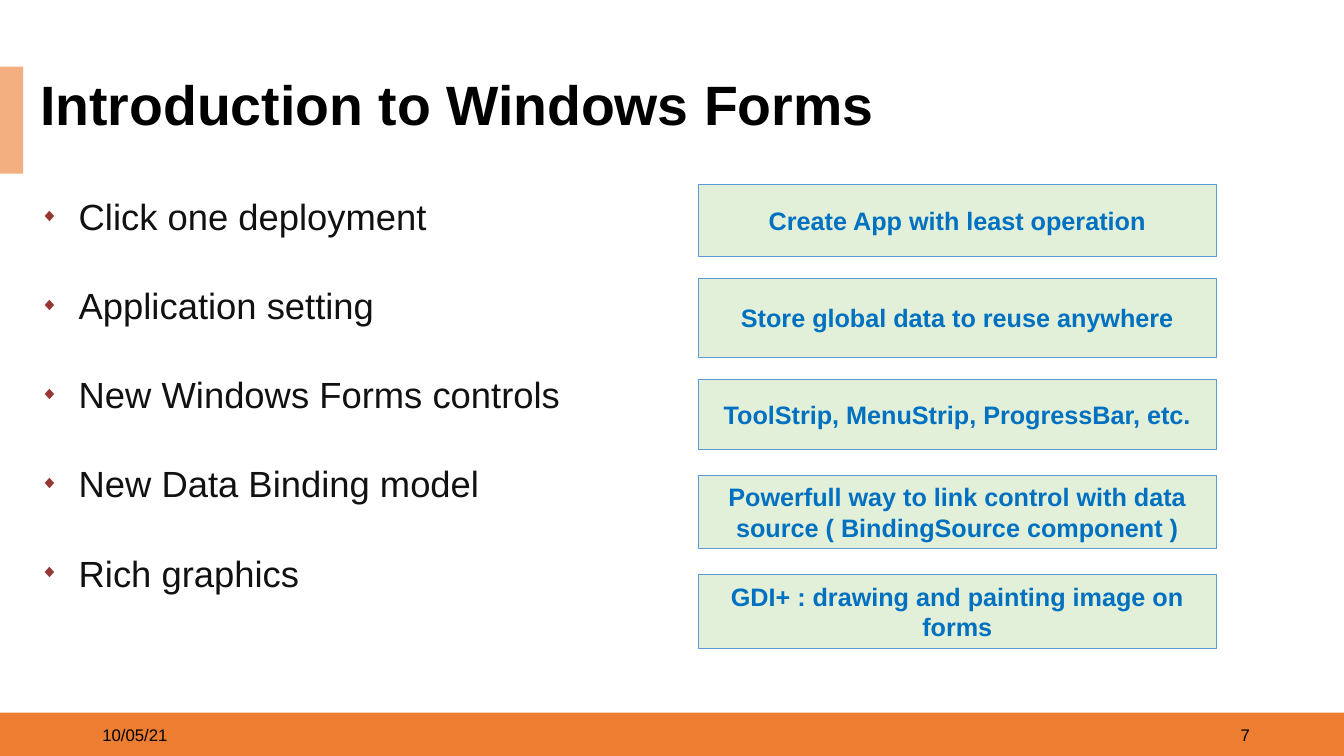
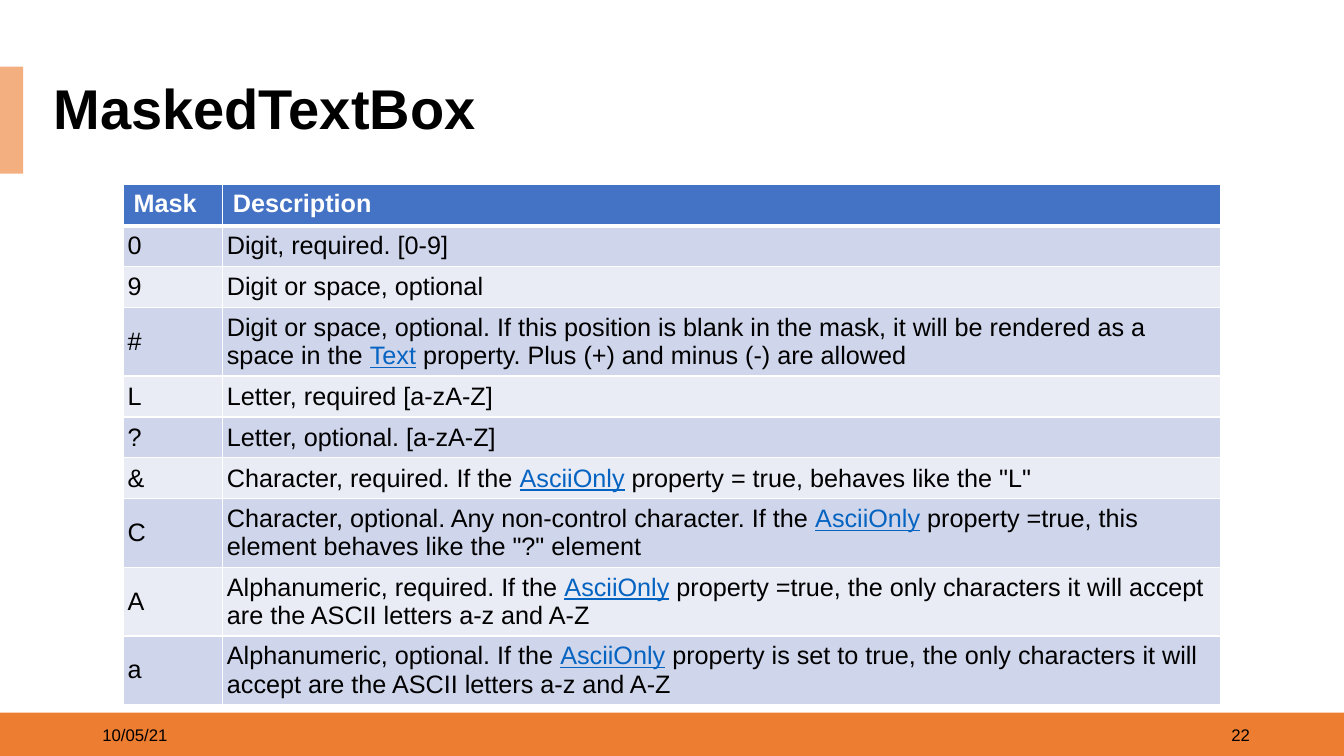
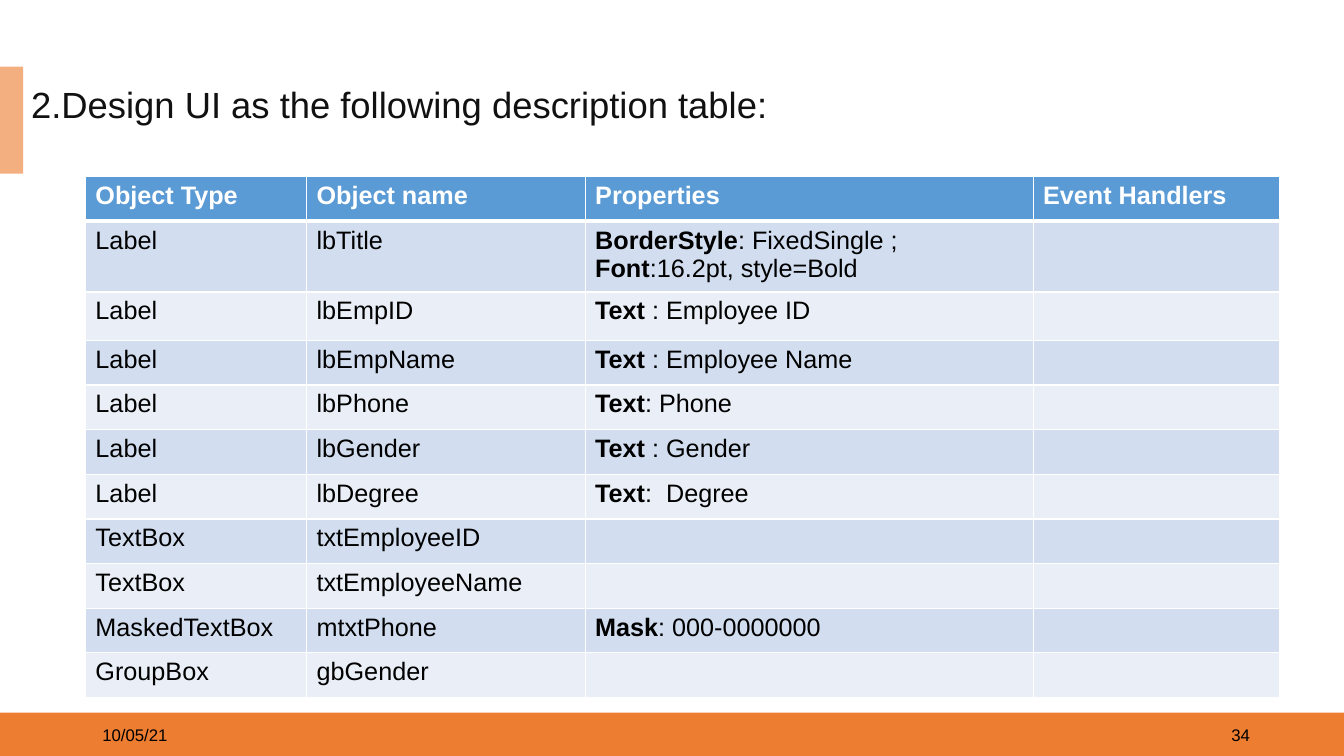
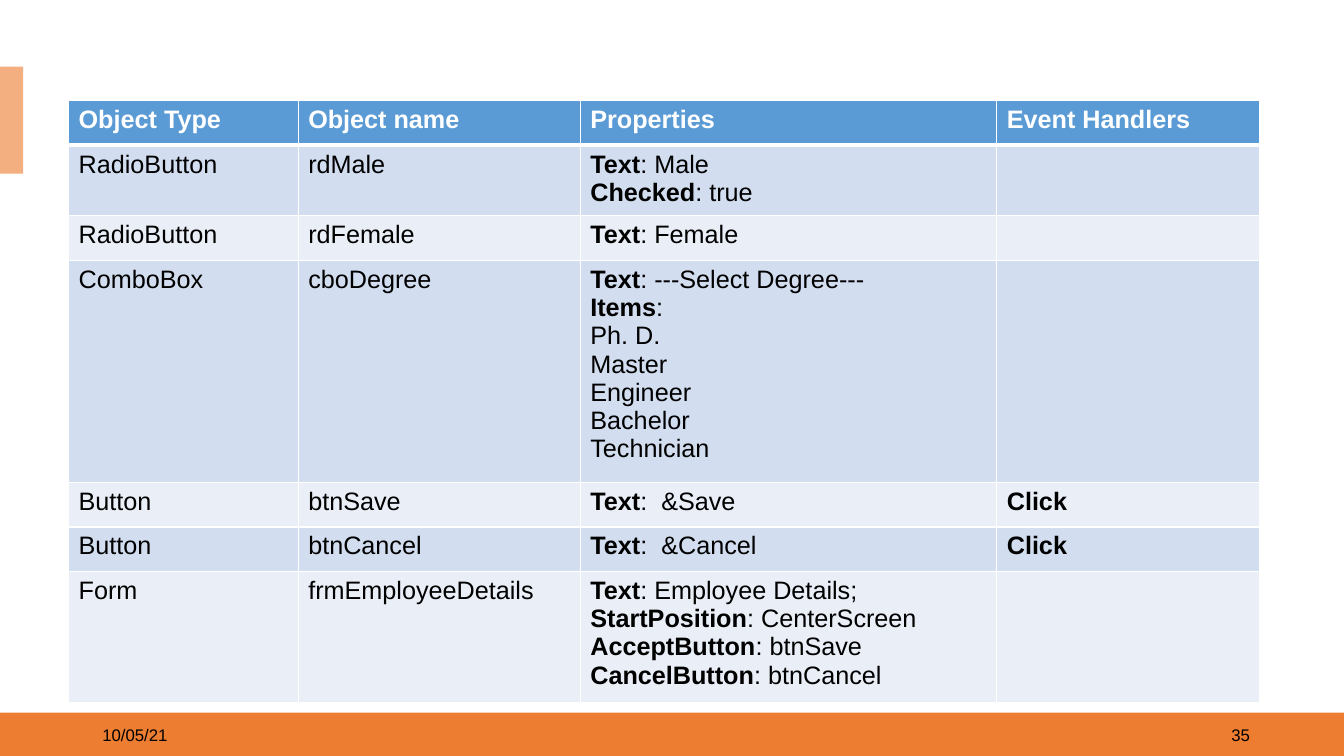
"""Build four Windows Forms lesson slides with shared bands, footers and tables."""
from lxml import etree
from pptx import Presentation
from pptx.dml.color import RGBColor
from pptx.enum.shapes import MSO_SHAPE
from pptx.enum.text import MSO_ANCHOR, MSO_AUTO_SIZE, PP_ALIGN
from pptx.oxml.ns import qn
from pptx.util import Pt

RECT = MSO_SHAPE.RECTANGLE
MIDDLE = MSO_ANCHOR.MIDDLE
FIXED = MSO_AUTO_SIZE.NONE
LEFT, CENTER, RIGHT, JUST = PP_ALIGN.LEFT, PP_ALIGN.CENTER, PP_ALIGN.RIGHT, PP_ALIGN.JUSTIFY
FONT = "Arial"
HEX = {
    "band": "ED7D31", "tab": "F4AF80", "black": "000000", "ink": "111111",
    "white": "FFFFFF", "bullet": "973735", "box": "E2F0D9", "edge": "5B9BD5",
    "note": "0070C0", "link": "0563C1",
}


def write(par, text, size, color, bold=False, under=False):
    """Add one formatted run to a paragraph."""
    run = par.add_run()
    run.text = text
    font = run.font
    font.name, font.size = FONT, Pt(size)
    font.bold, font.underline = bold, under
    font.color.rgb = RGBColor.from_string(HEX[color])


def block(slide, left, top, width, height, fill):
    """Add a plain filled rectangle without a line."""
    shape = slide.shapes.add_shape(RECT, Pt(left), Pt(top), Pt(width), Pt(height))
    shape.shadow.inherit = False
    shape.fill.solid()
    shape.fill.fore_color.rgb = RGBColor.from_string(HEX[fill])
    shape.line.fill.background()
    return shape


prs = Presentation()
prs.slide_width, prs.slide_height = Pt(960), Pt(540)

# layout, page, title, size, color, bold, left, top, width, height
pages = [
    (1, "7", ("Introduction to Windows Forms", 39.6, "black", True), (21.6, 54, 662, 45.4)),
    (5, "22", ("MaskedTextBox", 40, "black", True), (31, 57, 878, 45.4)),
    (5, "34", ("2.Design UI as the following description table:", 26, "ink", False), (15, 55.5, 945, 37)),
    (6, "35", None, None),
]
slides = []
for layout, page, head, area in pages:
    slide = prs.slides.add_slide(prs.slide_layouts[layout])
    slides.append(slide)
    block(slide, 0, 509, 960, 31, "band")
    block(slide, 0, 47.5, 16.5, 76.5, "tab")
    for text, left, align in (("10/05/21", 66, LEFT), (page, 684, RIGHT)):
        foot = slide.shapes.add_textbox(Pt(left), Pt(510.5), Pt(216), Pt(29)).text_frame
        foot.word_wrap = True
        foot.vertical_anchor = MIDDLE
        foot.paragraphs[0].alignment = align
        write(foot.paragraphs[0], text, 12, "black")
    if head:
        title = slide.shapes.title
        title.left, title.top, title.width, title.height = map(Pt, area)
        frame = title.text_frame
        frame.auto_size, frame.vertical_anchor = FIXED, MIDDLE
        par = frame.paragraphs[0]
        par.alignment = LEFT
        par.line_spacing = 0.9 if head[3] else 1.0
        write(par, *head)

intro = slides[0]
body = intro.placeholders[1]
body.left, body.top, body.width, body.height = Pt(21.6), Pt(135), Pt(420), Pt(314)
frame = body.text_frame
frame.auto_size = FIXED
topics = ["Click one deployment", "Application setting", "New Windows Forms controls",
          "New Data Binding model", "Rich graphics"]
for i, topic in enumerate(topics):
    par = frame.add_paragraph() if i else frame.paragraphs[0]
    props = par._p.get_or_add_pPr()
    props.set("marL", str(Pt(27.4)))
    props.set("indent", str(Pt(-27.4)))
    tint = etree.SubElement(props, qn("a:buClr"))
    etree.SubElement(tint, qn("a:srgbClr"), val=HEX["bullet"])
    etree.SubElement(props, qn("a:buSzPct"), val="50000")
    etree.SubElement(props, qn("a:buFont"), typeface=FONT)
    etree.SubElement(props, qn("a:buChar"), char="◆")
    par.alignment, par.line_spacing = JUST, 1.0
    par.space_before, par.space_after = Pt(32.5 if i else 0), Pt(0)
    write(par, topic, 26, "ink")

notes = [
    (132, 51, "Create App with least operation"),
    (198.7, 56.3, "Store global data to reuse anywhere"),
    (270.7, 50.4, "ToolStrip, MenuStrip, ProgressBar, etc."),
    (339.2, 52.8, "Powerfull way to link control with data source ( BindingSource component )"),
    (410.2, 52.8, "GDI+ : drawing and painting image on forms"),
]
for top, height, text in notes:
    box = block(intro, 499, top, 369.5, height, "box")
    box.line.color.rgb = RGBColor.from_string(HEX["edge"])
    box.line.width = Pt(0.5)
    frame = box.text_frame
    frame.word_wrap, frame.vertical_anchor = True, MIDDLE
    frame.paragraphs[0].alignment = CENTER
    write(frame.paragraphs[0], text, 18, "note", True)

masks = [
    ("Mask", "Description"),
    ("0", "Digit, required. [0-9]"),
    ("9", "Digit or space, optional"),
    ("#", "Digit or space, optional. If this position is blank in the mask, it will be "
          "rendered as a space in the |Text| property. Plus (+) and minus (-) are allowed"),
    ("L", "Letter, required [a-zA-Z]"),
    ("?", "Letter, optional. [a-zA-Z]"),
    ("&", "Character, required. If the |AsciiOnly| property = true, behaves like the \"L\""),
    ("C", "Character, optional. Any non-control character. If the |AsciiOnly| property =true, "
          "this element behaves like the \"?\" element"),
    ("A", "Alphanumeric, required. If the |AsciiOnly| property =true, the only characters "
          "it will accept are the ASCII letters a-z and A-Z"),
    ("a", "Alphanumeric, optional. If the |AsciiOnly| property is set to true, the only "
          "characters it will accept are the ASCII letters a-z and A-Z"),
]
heads = ("Object Type", "Object name", "Properties", "Event Handlers")
labels = [
    heads,
    ("Label", "lbTitle", "|BorderStyle|: FixedSingle ;\n|Font|:16.2pt, style=Bold", ""),
    ("Label", "lbEmpID", "|Text| : Employee ID", ""),
    ("Label", "lbEmpName", "|Text| : Employee Name", ""),
    ("Label", "lbPhone", "|Text|: Phone", ""),
    ("Label", "lbGender", "|Text| : Gender", ""),
    ("Label", "lbDegree", "|Text|:  Degree", ""),
    ("TextBox", "txtEmployeeID", "", ""),
    ("TextBox", "txtEmployeeName", "", ""),
    ("MaskedTextBox", "mtxtPhone", "|Mask|: 000-0000000", ""),
    ("GroupBox", "gbGender", "", ""),
]
inputs = [
    heads,
    ("RadioButton", "rdMale", "|Text|: Male\n|Checked|: true", ""),
    ("RadioButton", "rdFemale", "|Text|: Female", ""),
    ("ComboBox", "cboDegree", "|Text|: ---Select Degree---\n|Items|:\nPh. D.\nMaster\n"
                              "Engineer\nBachelor\nTechnician", ""),
    ("Button", "btnSave", "|Text|:  &Save", "|Click|"),
    ("Button", "btnCancel", "|Text|:  &Cancel", "|Click|"),
    ("Form", "frmEmployeeDetails", "|Text|: Employee Details;\n|StartPosition|: CenterScreen\n"
                                   "|AcceptButton|: btnSave\n|CancelButton|: btnCancel", ""),
]
indigo = ("4472C4", "CFD5EA", "E9EBF5")
azure = ("5B9BD5", "D2DEEF", "EAEFF7")
tables = [
    (slides[1], masks, (88.2, 132), (71, 712.5), indigo, True,
     (29.2, 29.2, 29.2, 46.4, 29.2, 29.2, 29.2, 46.4, 46.4, 46.4)),
    (slides[2], labels, (61, 126.2), (158, 199, 320, 175.8), azure, False,
     (31.9, 50, 34.6) + (31.9,) * 8),
    (slides[3], inputs, (49, 71.8), (164, 201.5, 297.5, 188), azure, False,
     (32, 47.2, 31.9, 148.2, 31.9, 31.9, 87.4)),
]
for slide, rows, spot, widths, tints, linked, tall in tables:
    size = map(Pt, (*spot, sum(widths), sum(tall)))
    grid = slide.shapes.add_table(len(rows), len(widths), *size).table
    grid.horz_banding = False
    for col, width in zip(grid.columns, widths):
        col.width = Pt(width)
    for r, row in enumerate(rows):
        grid.rows[r].height = Pt(tall[r])
        for c, text in enumerate(row):
            cell = grid.cell(r, c)
            props = cell._tc.get_or_add_tcPr()
            for side in "LRTB":
                thick = (r, side) in ((0, "B"), (1, "T"))
                line = etree.SubElement(props, qn("a:ln" + side), w=str(Pt(3 if thick else 1)))
                paint = etree.SubElement(line, qn("a:solidFill"))
                etree.SubElement(paint, qn("a:srgbClr"), val=HEX["white"])
            cell.fill.solid()
            cell.fill.fore_color.rgb = RGBColor.from_string(tints[0 if r == 0 else 2 - r % 2])
            if linked and r:
                cell.vertical_anchor = MIDDLE
                cell.margin_left = cell.margin_right = Pt(2.9)
                cell.margin_top = cell.margin_bottom = Pt(2.9)
            for n, line in enumerate(text.split("\n")):
                frame = cell.text_frame
                par = frame.add_paragraph() if n else frame.paragraphs[0]
                for k, part in enumerate(line.split("|")):
                    mark = k % 2 == 1
                    if not part:
                        continue
                    if r == 0:
                        write(par, part, 18, "white", True)
                    elif linked:
                        write(par, part, 18, "link" if mark else "black", under=mark)
                    else:
                        write(par, part, 18, "black", mark)

prs.save("out.pptx")
